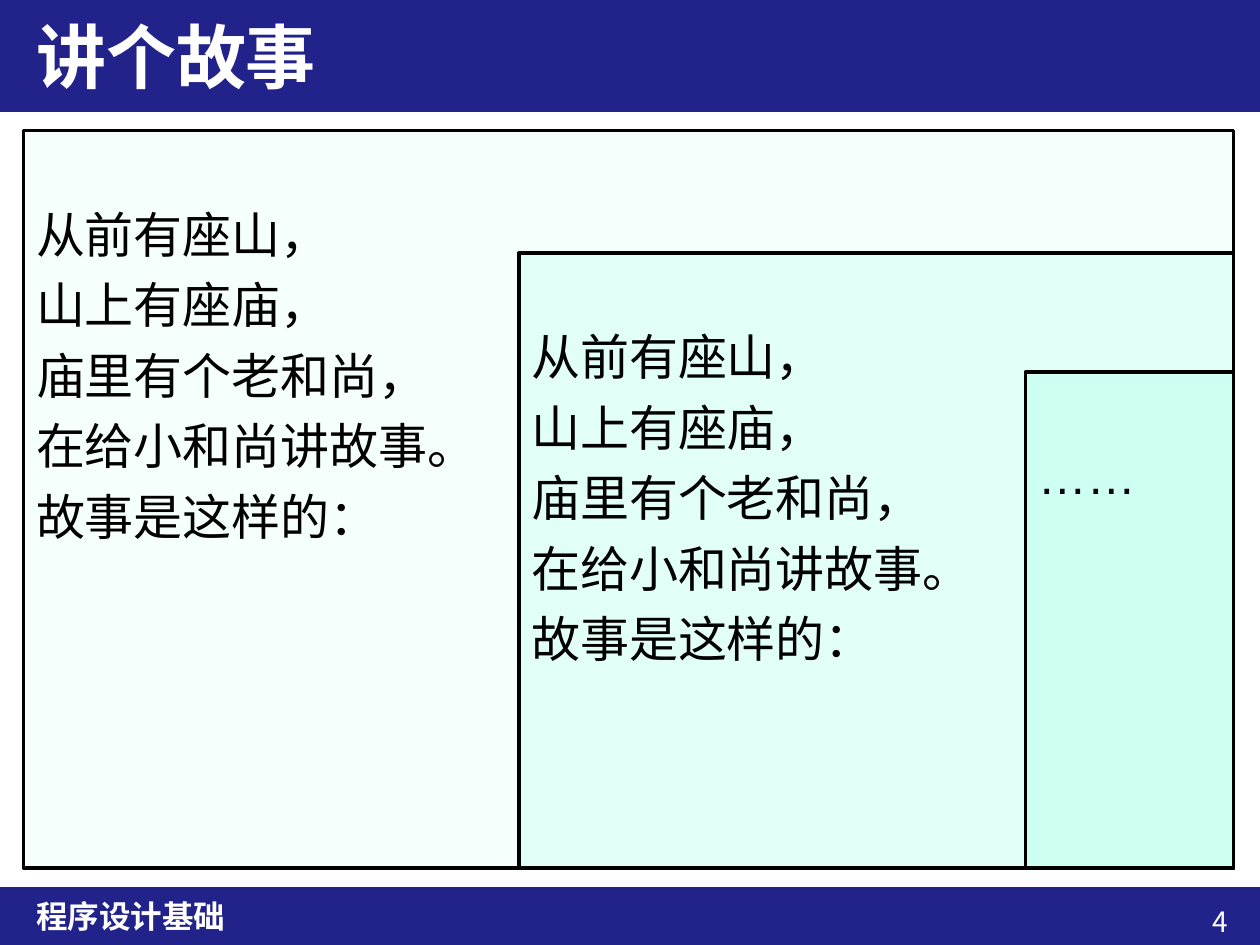
from pptx import Presentation
from pptx.dml.color import RGBColor
from pptx.enum.shapes import MSO_SHAPE
from pptx.enum.text import MSO_ANCHOR, PP_ALIGN
from pptx.oxml.ns import qn
from pptx.util import Pt
from lxml import etree

NAVY = RGBColor(0x22, 0x22, 0x8B)
WHITE = RGBColor(0xFF, 0xFF, 0xFF)
BLACK = RGBColor(0, 0, 0)
MINTS = [RGBColor(0xF5, 0xFF, 0xFC), RGBColor(0xE1, 0xFF, 0xF7),
         RGBColor(0xCD, 0xFF, 0xF2)]
CJK_FONT = "Noto Sans CJK SC"
BODY_FONT = "Arial"

WIDTH, HEIGHT = 720, 540
LEFT, RIGHT = 13.5, 705
STORY_BOTTOM = 496
FOOTER_TOP = 507

STORY = ["从前有座山，", "山上有座庙，", "庙里有个老和尚，",
         "在给小和尚讲故事。", "故事是这样的："]


class SlideBuilder:
    def __init__(self, prs):
        self.s = prs.slides.add_slide(prs.slide_layouts[5])

    def style(self, p, size, color, font=CJK_FONT, bold=False):
        for r in p.runs:
            r.font.name = font
            r.font.size = Pt(size)
            r.font.bold = bold
            r.font.color.rgb = color
            ea = etree.SubElement(r.font._element, qn("a:ea"))
            ea.set("typeface", CJK_FONT)

    def rectangle(self, x, y, w, h, fill, line=None):
        sp = self.s.shapes.add_shape(MSO_SHAPE.RECTANGLE,
                                     Pt(x), Pt(y), Pt(w), Pt(h))
        sp.shadow.inherit = False
        sp.fill.solid()
        sp.fill.fore_color.rgb = fill
        if line is None:
            sp.line.fill.background()
        else:
            sp.line.color.rgb = line
            sp.line.width = Pt(2)
        return sp

    def title(self, text, x, y, w, h):
        sp = self.s.shapes.title
        sp.left, sp.top, sp.width, sp.height = Pt(x), Pt(y), Pt(w), Pt(h)
        self.s.shapes.element.append(sp.element)  # in front of the bar
        self.fill_line(sp.text_frame, text, 40, bold=True)

    def label(self, text, x, y, w, h, size, bold=False, align=PP_ALIGN.LEFT):
        sp = self.s.shapes.add_textbox(Pt(x), Pt(y), Pt(w), Pt(h))
        self.fill_line(sp.text_frame, text, size, bold, align)

    def fill_line(self, tf, text, size, bold=False, align=PP_ALIGN.LEFT):
        tf.text = text
        tf.word_wrap = True
        tf.vertical_anchor = MSO_ANCHOR.MIDDLE
        p = tf.paragraphs[0]
        p.alignment = align
        self.style(p, size, WHITE, bold=bold)

    def story(self, x, y, fill, lines):
        """Draw a story box that reaches the shared right and bottom edges."""
        sp = self.rectangle(x, y, RIGHT - x, STORY_BOTTOM - y, fill, BLACK)
        tf = sp.text_frame
        tf.text = "\n".join(lines)
        tf.word_wrap = True
        tf.vertical_anchor = MSO_ANCHOR.TOP
        tf.margin_top = Pt(35.5)
        for p in tf.paragraphs:
            p.alignment = PP_ALIGN.LEFT
            p.line_spacing = Pt(40.3)
            self.style(p, 28, BLACK, BODY_FONT)


def main():
    prs = Presentation()
    prs.slide_width, prs.slide_height = Pt(WIDTH), Pt(HEIGHT)
    slide = SlideBuilder(prs)
    text_width = RIGHT - LEFT
    footer_height = HEIGHT - FOOTER_TOP

    slide.rectangle(0, FOOTER_TOP, WIDTH, footer_height, NAVY)
    slide.label("4", 618.5, 513.5, 90, 26.5, 16, align=PP_ALIGN.RIGHT)
    slide.label("程序设计基础", LEFT, FOOTER_TOP, text_width, footer_height,
                18, bold=True)
    slide.rectangle(0, 0, WIDTH, 64, NAVY)
    slide.title("讲个故事", LEFT, 0, text_width, 64)

    corners = [(LEFT, 74.5), (296.5, 144.5), (586, 212.5)]
    for (x, y), fill, lines in zip(corners, MINTS, [STORY, STORY, ["……"]]):
        slide.story(x, y, fill, lines)

    prs.save("out.pptx")


if __name__ == "__main__":
    main()
